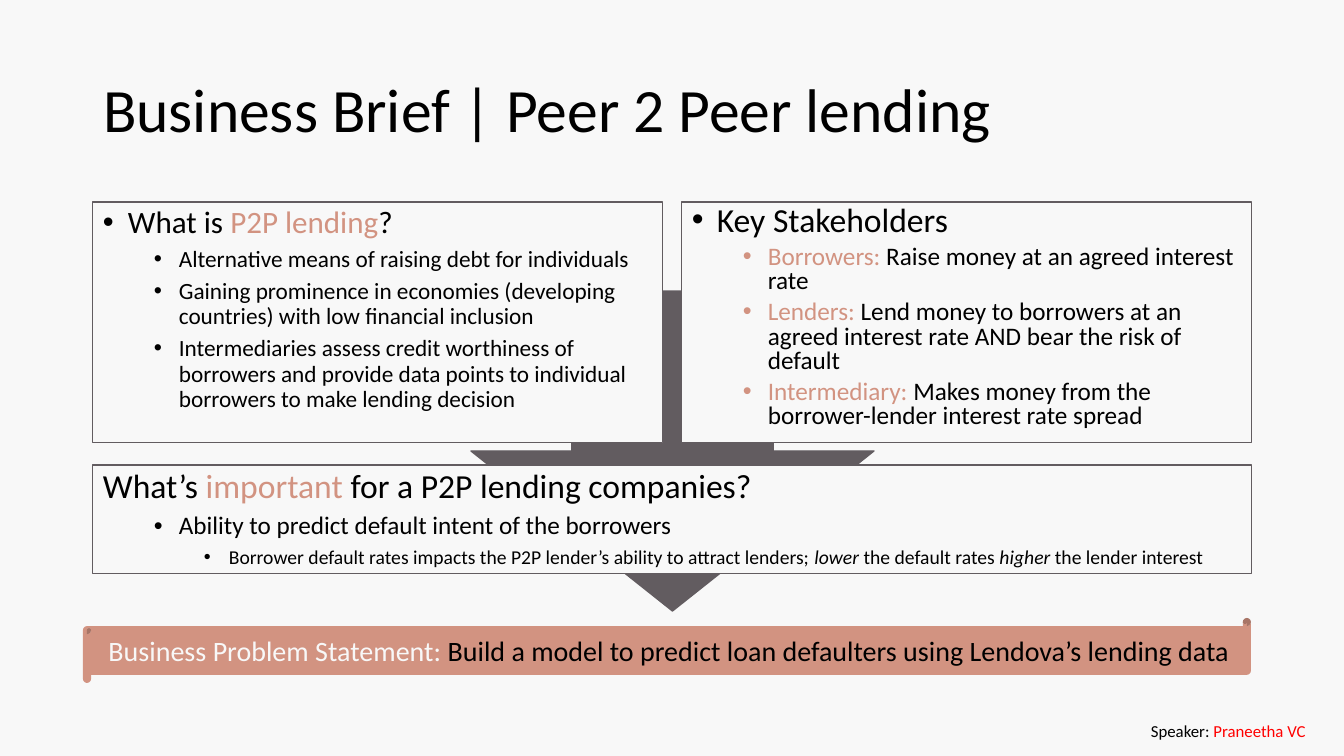
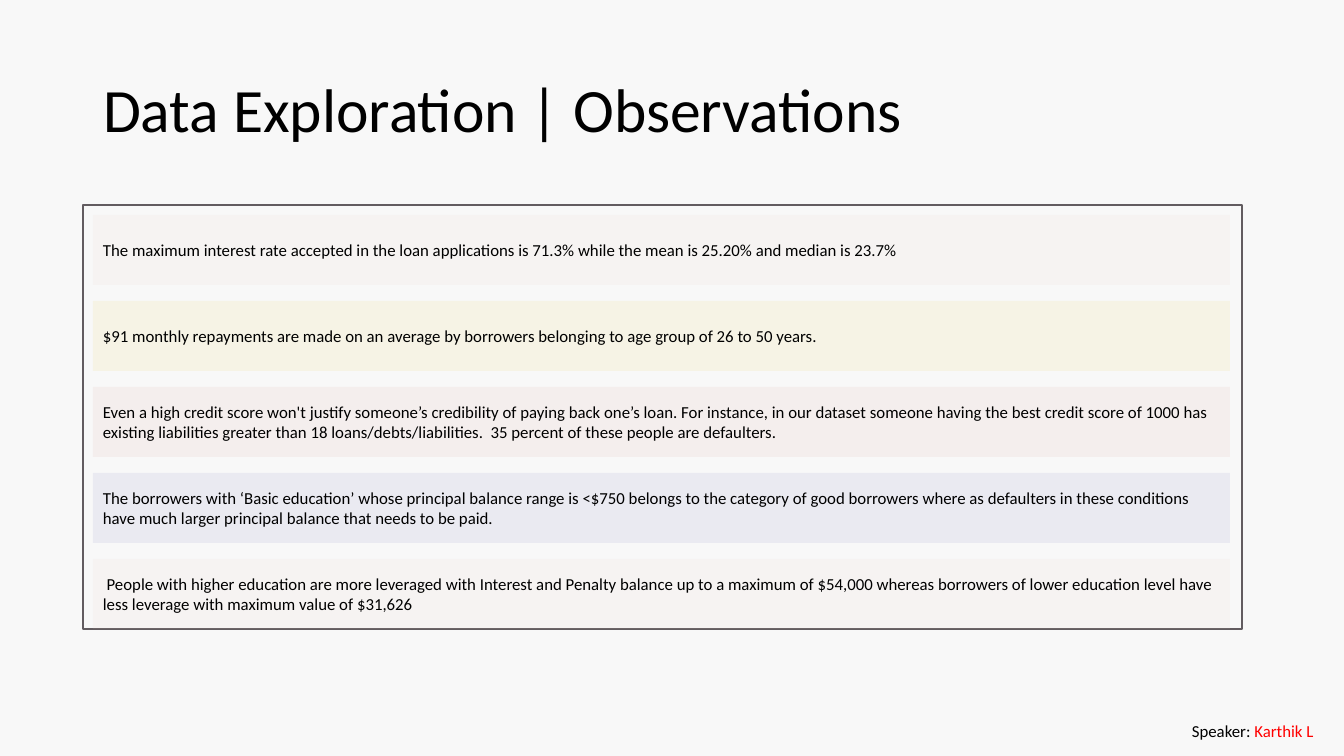
from lxml import etree
from pptx import Presentation
from pptx.dml.color import RGBColor
from pptx.enum.shapes import MSO_SHAPE
from pptx.enum.text import MSO_ANCHOR, PP_ALIGN
from pptx.oxml.ns import qn
from pptx.util import Pt

PX = 914400 / 100.8
RECT, ARROW, SCROLL = MSO_SHAPE.RECTANGLE, MSO_SHAPE.DOWN_ARROW, MSO_SHAPE.HORIZONTAL_SCROLL
LEFT, MID = PP_ALIGN.LEFT, PP_ALIGN.CENTER
TOP, CENTRE = MSO_ANCHOR.TOP, MSO_ANCHOR.MIDDLE
FONT = "Calibri"
PAPER, INK, GREY, CLAY, RED = "F8F8F8", "000000", "625C60", "D29381", "FF0000"
rgb = RGBColor.from_string


def box(slide, kind, area, fill, line=None, weight=0.75, alpha=None):
    """Add a filled shape; area is in px, alpha is the opacity in percent."""
    shape = slide.shapes.add_shape(kind, *[round(n * PX) for n in area])
    shape.shadow.inherit = False
    shape.fill.solid()
    shape.fill.fore_color.rgb = rgb(fill)
    if alpha:
        tint = shape.fill._xPr.find(qn("a:solidFill"))[0]
        etree.SubElement(tint, qn("a:alpha"), val=str(alpha * 1000))
    if line:
        shape.line.color.rgb = rgb(line)
        shape.line.width = Pt(weight)
    else:
        shape.line.fill.background()
    return shape


def write(shape, *runs, size, align=LEFT, anchor=TOP, space=1.0, before=0, bullet=None):
    """Add a paragraph of (text, colour, italic) runs; bullet is its indent in px."""
    frame = shape.text_frame
    frame.word_wrap = True
    frame.vertical_anchor = anchor
    para = frame.add_paragraph() if frame.text else frame.paragraphs[0]
    para.alignment = align
    para.line_spacing = space
    para.space_before = Pt(before)
    if bullet:
        props = para._p.get_or_add_pPr()
        props.set("marL", str(round(bullet * PX)))
        props.set("indent", str(round(-25 * PX)))
        etree.SubElement(props, qn("a:buFont"), typeface="Arial")
        etree.SubElement(props, qn("a:buChar"), char="•")
    for text, colour, *slant in runs:
        run = para.add_run()
        run.text = text
        run.font.name = FONT
        run.font.size = Pt(size)
        run.font.color.rgb = rgb(colour)
        run.font.italic = bool(slant)


deck = Presentation()
deck.slide_width, deck.slide_height = round(1344 * PX), round(756 * PX)
back = deck.slide_master.background.fill
back.solid()
back.fore_color.rgb = rgb(PAPER)

# Title and speaker on each slide
pages = []
for head, name, left, wide in [
    ("Business Brief | Peer 2 Peer lending", "Praneetha VC", 1141, 183),
    ("Data Exploration | Observations", "Karthik L", 1182, 142),
]:
    page = deck.slides.add_slide(deck.slide_layouts[5])
    title = page.shapes.title
    title.left, title.top, title.width, title.height = [round(n * PX) for n in (93, 40, 1159, 146)]
    write(title, (head, INK), size=44, anchor=CENTRE, space=0.9)
    note = page.shapes.add_textbox(*[round(n * PX) for n in (left, 716, wide, 30)])
    write(note, ("Speaker: ", INK), (name, RED), size=12)
    pages.append(page)
brief, data = pages

# Business brief
box(brief, ARROW, (471, 291, 403, 320), GREY, GREY, 1)

what = box(brief, RECT, (93, 202, 570, 241), PAPER, GREY)
write(what, ("What is ", INK), ("P2P lending", CLAY), ("?", INK),
      size=22.2, space=0.9, before=10, bullet=25)
for fact in [
    "Alternative means of raising debt for individuals",
    "Gaining prominence in economies (developing countries) with low financial inclusion",
    "Intermediaries assess credit worthiness of borrowers and provide data points "
    "to individual borrowers to make lending decision",
]:
    write(what, (fact, INK), size=16.6, space=0.9, before=5, bullet=76)

who = box(brief, RECT, (682, 202, 570, 241), PAPER, GREY)
write(who, ("Key Stakeholders", INK), size=24, space=0.8, before=10, bullet=25)
for role, task in [
    ("Borrowers: ", "Raise money at an agreed interest rate"),
    ("Lenders: ", "Lend money to borrowers at an agreed interest rate AND bear the risk of default"),
    ("Intermediary: ", "Makes money from the borrower-lender interest rate spread"),
]:
    write(who, (role, CLAY), (task, INK), size=18, space=0.8, before=5, bullet=76)

need = box(brief, RECT, (93, 465, 1159, 109), PAPER, GREY)
write(need, ("What’s ", INK), ("important", CLAY), (" for a P2P lending companies?", INK),
      size=24, space=0.9, before=10)
write(need, ("Ability to predict default intent of the borrowers", INK),
      size=18, space=0.9, before=5, bullet=76)
write(need,
      ("Borrower default rates impacts the P2P lender’s ability to attract lenders; ", INK),
      ("lower", INK, True), (" the default rates ", INK),
      ("higher", INK, True), (" the lender interest", INK),
      size=14, space=0.9, before=5, bullet=126)

goal = box(brief, SCROLL, (83, 618, 1168, 65), CLAY)
write(goal, ("Business Problem Statement:", PAPER),
      (" Build a model to predict loan defaulters using Lendova’s lending data", INK),
      size=20, align=MID, anchor=CENTRE)

# Observations
box(data, RECT, (83, 205, 1159, 424), PAPER, GREY, 1)
for row, (tint, text) in enumerate([
    ("E3C1C0", "The maximum interest rate accepted in the loan applications is 71.3% "
               "while the mean is 25.20% and median is 23.7%"),
    ("E3C130", "$91 monthly repayments are made on an average by borrowers "
               "belonging to age group of 26 to 50 years."),
    (CLAY, "Even a high credit score won't justify someone’s credibility of paying back "
           "one’s loan. For instance, in our dataset someone having the best credit score "
           "of 1000 has existing liabilities greater than 18 loans/debts/liabilities.  "
           "35 percent of these people are defaulters."),
    ("6667AB", "The borrowers with ‘Basic education’ whose principal balance range is <$750 "
               "belongs to the category of good borrowers where as defaulters in these "
               "conditions have much larger principal balance that needs to be paid."),
    ("E3C1C0", " People with higher education are more leveraged with Interest and Penalty "
               "balance up to a maximum of $54,000 whereas borrowers of lower education "
               "level have less leverage with maximum value of $31,626"),
]):
    bar = box(data, RECT, (93, 215 + row * 86, 1137, 70), tint, alpha=9)
    write(bar, (text, INK), size=12, anchor=CENTRE)

deck.save("out.pptx")
